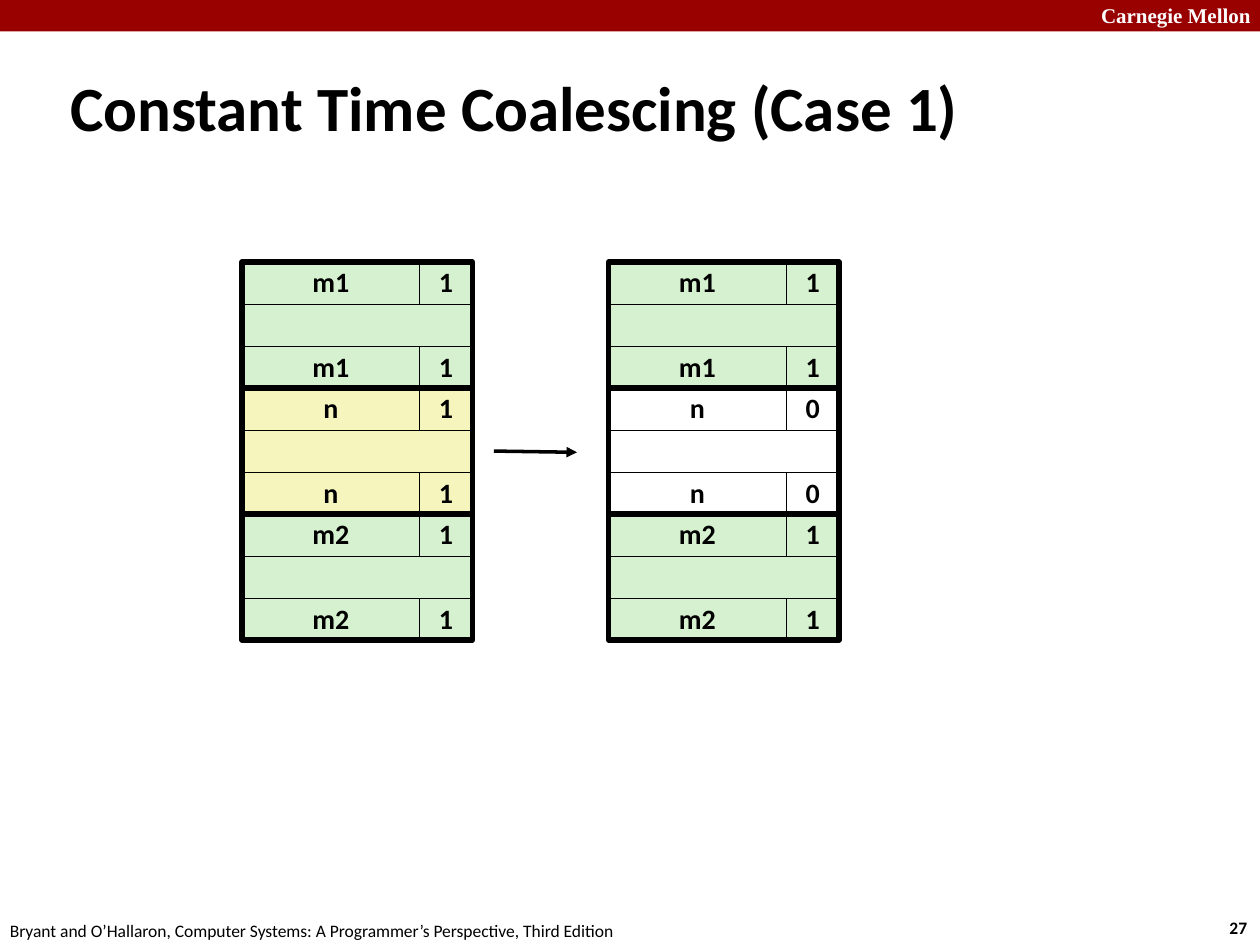
from lxml.etree import SubElement
from pptx import Presentation
from pptx.dml.color import RGBColor
from pptx.enum.shapes import MSO_CONNECTOR, MSO_SHAPE
from pptx.enum.text import MSO_ANCHOR, PP_ALIGN
from pptx.oxml.ns import qn
from pptx.util import Inches, Pt

BLACK, WHITE, RED = "000000", "FFFFFF", "990000"
GREEN, YELLOW = "D5F1CF", "F6F5BD"
TOP, ROW, WIDTH, TAG = 2.08, 1 / 3, 1.83, 0.42
BEFORE = [("m1", "1", GREEN), ("n", "1", YELLOW), ("m2", "1", GREEN)]
AFTER = [("m1", "1", GREEN), ("n", "0", WHITE), ("m2", "1", GREEN)]


def color(code):
    """Turn a hex string into a colour."""
    return RGBColor.from_string(code)


def style(para, size, bold=True, code=BLACK, face="Calibri"):
    """Set the font of a paragraph."""
    font = para.font
    font.name, font.size, font.bold = face, Pt(size), bold
    font.color.rgb = color(code)


def label(slide, text, box, size, wrap=False, **look):
    """Add a text box with one paragraph."""
    frame = slide.shapes.add_textbox(*map(Inches, box)).text_frame
    frame.word_wrap = wrap
    frame.vertical_anchor = MSO_ANCHOR.MIDDLE
    frame.text = text
    style(frame.paragraphs[0], size, **look)


def rect(slide, box, fill=None, line=None, text=""):
    """Add a rectangle, with centred text if any is given."""
    shape = slide.shapes.add_shape(MSO_SHAPE.RECTANGLE, *map(Inches, box))
    shape.shadow.inherit = False
    if fill:
        shape.fill.solid()
        shape.fill.fore_color.rgb = color(fill)
    else:
        shape.fill.background()
    if line:
        shape.line.color.rgb = color(BLACK)
        shape.line.width = Pt(line)
    else:
        shape.line.fill.background()
    if text:
        frame = shape.text_frame
        frame.word_wrap = False
        frame.vertical_anchor = MSO_ANCHOR.MIDDLE
        frame.text = text
        para = frame.paragraphs[0]
        para.alignment = PP_ALIGN.CENTER
        para.line_spacing = 0.98
        style(para, 16)


def block(slide, left, top, name, flag, fill):
    """Draw a memory block: header, payload, footer and thick frame."""
    main = WIDTH - TAG
    for row in (0, 2):
        y = top + row * ROW
        rect(slide, (left, y, main, ROW), fill, 0.25, name)
        rect(slide, (left + main, y, TAG, ROW), fill, 0.25, flag)
    rect(slide, (left, top + ROW, WIDTH, ROW), fill, 0.25)
    rect(slide, (left, top, WIDTH, 3 * ROW), line=3)


def heap(slide, left, blocks):
    """Stack blocks from the top down."""
    for i, data in enumerate(blocks):
        block(slide, left, TOP + 3 * ROW * i, *data)


def arrow(slide, start, end):
    """Add a straight line with an arrowhead at its end."""
    line = slide.shapes.add_connector(
        MSO_CONNECTOR.STRAIGHT, *map(Inches, start + end))
    line.line.color.rgb = color(BLACK)
    line.line.width = Pt(2)
    SubElement(line.line._get_or_add_ln(), qn("a:tailEnd"), type="triangle")
    SubElement(line._element.spPr, qn("a:effectLst"))


def main():
    """Build and save the slide."""
    prs = Presentation()
    prs.slide_width, prs.slide_height = Inches(10), Inches(7.5)
    slide = prs.slides.add_slide(prs.slide_layouts[6])
    rect(slide, (0, 0, 10, 0.25), RED)
    label(slide, "Carnegie Mellon", (8.64, -0.03, 1.43, 0.3), 12, wrap=True,
          code=WHITE, face="Times New Roman")
    label(slide, "27", (9.66, 7.23, 0.37, 0.27), 10)
    label(slide, "Bryant and O’Hallaron, Computer Systems: "
          "A Programmer’s Perspective, Third Edition",
          (-0.02, 7.25, 5.08, 0.27), 10, bold=False)
    label(slide, "Constant Time Coalescing (Case 1)",
          (0.46, 0.53, 9.08, 0.63), 36, wrap=True)
    heap(slide, 1.92, BEFORE)
    heap(slide, 4.83, AFTER)
    arrow(slide, (3.92, 3.58), (4.58, 3.59))
    prs.save("out.pptx")


if __name__ == "__main__":
    main()
